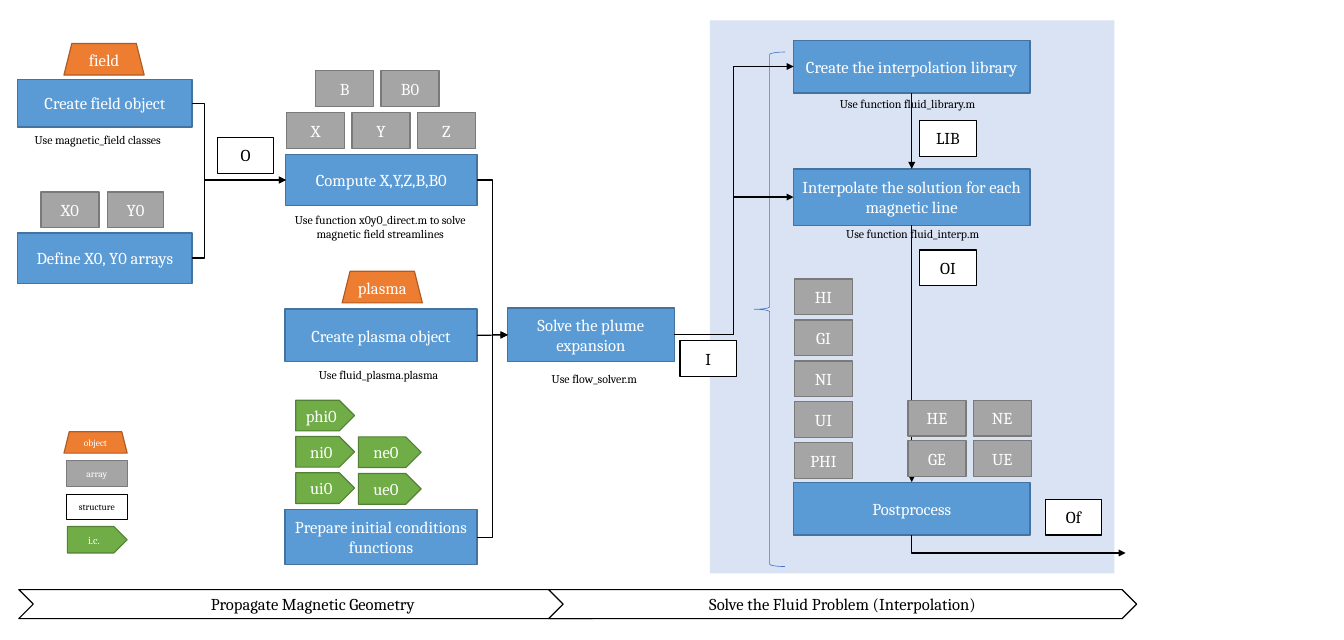
from dataclasses import dataclass
from typing import Any, Iterator, NamedTuple

from lxml import etree
from pptx import Presentation
from pptx.dml.color import RGBColor
from pptx.enum.shapes import MSO_CONNECTOR, MSO_SHAPE
from pptx.enum.text import MSO_ANCHOR, MSO_AUTO_SIZE, PP_ALIGN
from pptx.oxml.ns import qn
from pptx.util import Inches, Pt

RECT, TRAPEZOID = MSO_SHAPE.RECTANGLE, MSO_SHAPE.TRAPEZOID
PLATE, CHEVRON, BRACE = MSO_SHAPE.PENTAGON, MSO_SHAPE.CHEVRON, MSO_SHAPE.LEFT_BRACE
STRAIGHT, ELBOW = MSO_CONNECTOR.STRAIGHT, MSO_CONNECTOR.ELBOW
CENTER, MIDDLE = PP_ALIGN.CENTER, MSO_ANCHOR.MIDDLE
FIT_TEXT = MSO_AUTO_SIZE.SHAPE_TO_FIT_TEXT
TOP, LEFT, BOTTOM, RIGHT = range(4)

SLIDE_WIDTH, SLIDE_HEIGHT = Inches(15.75), Inches(7.5)
COLUMN, ROW = SLIDE_WIDTH / 63, SLIDE_HEIGHT / 30


@dataclass(frozen=True)
class Theme:
    font: str = "Cambria"
    body: float = 14
    note: float = 10
    legend: float = 8
    legend_plate: float = 9
    rule: float = 1
    thin: float = 0.75
    hairline: float = 0.5
    black: str = "000000"
    white: str = "FFFFFF"
    panel: str = "DAE3F3"
    brace: str = "4472C4"
    step: str = "5B9BD5"
    step_edge: str = "43739E"
    object: str = "ED7D31"
    object_edge: str = "AF5C24"
    array: str = "A5A5A5"
    array_edge: str = "7A7A7A"
    condition: str = "70AD47"
    condition_edge: str = "538035"


THEME = Theme()


class Kind(NamedTuple):
    preset: Any
    fill: str | None
    edge: str | None
    ink: str = THEME.white
    size: float = THEME.body
    weight: float = THEME.rule


PANEL = Kind(RECT, THEME.panel, None)
STEP = Kind(RECT, THEME.step, THEME.step_edge)
OBJECT = Kind(TRAPEZOID, THEME.object, THEME.object_edge)
ARRAY = Kind(RECT, THEME.array, THEME.array_edge)
STRUCTURE = Kind(RECT, THEME.white, THEME.black, THEME.black)
CONDITION = Kind(PLATE, THEME.condition, THEME.condition_edge)
PHASE = Kind(CHEVRON, THEME.white, THEME.black, THEME.black)
SPAN_BRACE = Kind(BRACE, None, THEME.brace, weight=THEME.hairline)


class Item(NamedTuple):
    """A labelled shape, placed in grid columns and rows."""
    kind: Kind
    text: str
    left: float
    top: float
    width: float
    height: float


class Cluster(NamedTuple):
    """Equal shapes in rows; labels are split by spaces."""
    kind: Kind
    rows: tuple[str, ...]
    left: float
    top: float
    width: float = 2.72
    height: float = 1.68
    across: float = 3.06
    down: float = 1.9


class Note(NamedTuple):
    text: str
    left: float
    top: float
    width: float
    height: float = 1.08


class Link(NamedTuple):
    start: str
    start_side: int
    end: str
    end_side: int
    route: Any = ELBOW
    bend: float = 0.5


STEPS = {
    "solve": Item(STEP, "Solve the plume expansion", 23.8, 14.44, 7.8, 2.52),
    "field": Item(STEP, "Create field object", 0.84, 3.72, 8.16, 2.24),
    "define": Item(STEP, "Define X0, Y0 arrays", 0.84, 10.92, 8.16, 2.36),
    "compute": Item(STEP, "Compute X,Y,Z,B,B0", 13.4, 7.24, 8.96, 2.4),
    "plasma": Item(STEP, "Create plasma object", 13.36, 14.48, 9, 2.48),
    "initial": Item(STEP, "Prepare initial conditions functions", 13.36, 23.88, 9, 2.6),
    "library": Item(STEP, "Create the interpolation library", 37.2, 1.88, 11.08, 2.48),
    "interpolate": Item(STEP, "Interpolate the solution for each magnetic line",
                        37.2, 7.92, 11.08, 2.64),
    "postprocess": Item(STEP, "Postprocess", 37.2, 22.6, 11.08, 2.48),
}
LINKS = [
    Link("field", RIGHT, "compute", LEFT, bend=0.13),
    Link("define", RIGHT, "compute", LEFT, bend=0.13),
    Link("compute", RIGHT, "solve", LEFT),
    Link("initial", RIGHT, "solve", LEFT),
    Link("plasma", RIGHT, "solve", LEFT, STRAIGHT),
    Link("solve", RIGHT, "library", LEFT),
    Link("solve", RIGHT, "interpolate", LEFT),
    Link("library", BOTTOM, "interpolate", TOP, STRAIGHT),
    Link("interpolate", BOTTOM, "postprocess", TOP, STRAIGHT),
]
OUTPUT_START, OUTPUT_END = (42.74, 25.08), (52.76, 25.92)
NOTES = [
    Note("Use magnetic_field classes", 0.92, 6, 7.32),
    Note("Use function x0y0_direct.m to solve magnetic field streamlines",
         13.2, 9.76, 9.24, 1.76),
    Note("Use fluid_plasma.plasma", 13.56, 17.04, 8.36),
    Note("Use flow_solver.m", 24.28, 17.24, 7.16),
    Note("Use function fluid_library.m", 37.92, 4.32, 9.24),
    Note("Use function fluid_interp.m", 38.16, 10.44, 9.24),
]
CLUSTERS = [
    Cluster(ARRAY, ("X0",), 1.92, 9),
    Cluster(ARRAY, ("Y0",), 5.04, 9, width=2.64),
    Cluster(ARRAY, ("B B0",), 14.8, 3.32),
    Cluster(ARRAY, ("X Y Z",), 13.44, 5.28),
    Cluster(ARRAY, ("HI", "GI", "NI", "UI", "PHI"), 37.24, 13.08, down=1.92),
    Cluster(ARRAY, ("HE NE", "GE UE"), 42.56, 18.76),
    Cluster(CONDITION, ("phi0", "ni0", "ui0"), 13.86, 18.76, 2.76, 1.44, down=1.7),
    Cluster(CONDITION, ("ne0", "ue0"), 16.8, 20.48, 2.94, 1.44, down=1.72),
]
LABELS = [
    Item(OBJECT, "field", 3, 2.04, 3.76, 1.48),
    Item(OBJECT, "plasma", 16.04, 12.72, 3.76, 1.48),
    Item(STRUCTURE, "O", 10.2, 6.44, 2.64, 1.68),
    Item(STRUCTURE, "I", 31.88, 15.96, 2.64, 1.68),
    Item(STRUCTURE, "LIB", 43.12, 5.64, 2.64, 1.68),
    Item(STRUCTURE, "OI", 43.12, 11.72, 2.64, 1.68),
    Item(STRUCTURE, "Of", 49, 23.4, 2.64, 1.68),
    Item(OBJECT._replace(size=THEME.legend), "object", 3, 20.24, 2.96, 1),
    Item(ARRAY._replace(size=THEME.legend), "array", 3.12, 21.6, 2.84, 1.2),
    Item(STRUCTURE._replace(size=THEME.legend, weight=THEME.thin), "structure",
         3.12, 23.16, 2.84, 1.2),
    Item(CONDITION._replace(size=THEME.legend_plate), "i.c.", 3.16, 24.68, 2.8, 1.24),
    Item(PHASE, "Propagate Magnetic Geometry", 0.88, 27.64, 27.56, 1.36),
    Item(PHASE, "Solve the Fluid Problem (Interpolation)", 25.72, 27.64, 27.56, 1.36),
]


def apply(target: Any, values: dict[str, Any]) -> None:
    for name, value in values.items():
        setattr(target, name, value)


def grid(*lengths: float) -> list[int]:
    """Turn alternating column and row counts into slide lengths."""
    return [round(n * (ROW if i % 2 else COLUMN)) for i, n in enumerate(lengths)]


def write(box: Any, text: str, size: float, ink: str, frame: dict[str, Any]) -> None:
    apply(box.text_frame, {"word_wrap": True, **frame})
    para = box.text_frame.paragraphs[0]
    para.alignment = CENTER
    span = para.add_run()
    span.text = text
    apply(span.font, {"name": THEME.font, "size": Pt(size)})
    span.font.color.rgb = RGBColor.from_string(ink)


def draw_item(page: Any, item: Item) -> Any:
    kind = item.kind
    box = page.shapes.add_shape(kind.preset, *grid(*item[2:]))
    box.shadow.inherit = False
    for paint, colour in ((box.fill, kind.fill), (box.line.fill, kind.edge)):
        if colour is None:
            paint.background()
        else:
            paint.solid()
            paint.fore_color.rgb = RGBColor.from_string(colour)
    if kind.edge:
        box.line.width = Pt(kind.weight)
    if item.text:
        write(box, item.text, kind.size, kind.ink, {"vertical_anchor": MIDDLE})
    return box


def cluster_items(cluster: Cluster) -> Iterator[Item]:
    for r, row in enumerate(cluster.rows):
        for c, label in enumerate(row.split()):
            yield Item(cluster.kind, label, cluster.left + c * cluster.across,
                       cluster.top + r * cluster.down, cluster.width, cluster.height)


def draw_note(page: Any, note: Note) -> None:
    box = page.shapes.add_textbox(*grid(*note[1:]))
    write(box, note.text, THEME.note, THEME.black, {"auto_size": FIT_TEXT})


def style_arrow(arrow: Any) -> None:
    arrow.line.color.rgb = RGBColor.from_string(THEME.black)
    arrow.line.width = Pt(THEME.rule)
    properties = arrow.element.spPr
    etree.SubElement(properties.find(qn("a:ln")), qn("a:tailEnd"), type="triangle")
    etree.SubElement(properties, qn("a:effectLst"))


def draw_link(page: Any, link: Link, boxes: dict[str, Any]) -> None:
    arrow = page.shapes.add_connector(link.route, 0, 0, 0, 0)
    arrow.begin_connect(boxes[link.start], link.start_side)
    arrow.end_connect(boxes[link.end], link.end_side)
    if link.route == ELBOW:
        adjustments = next(arrow.element.iter(qn("a:avLst")))
        etree.SubElement(adjustments, qn("a:gd"), name="adj1",
                         fmla=f"val {round(link.bend * 100000)}")
    style_arrow(arrow)


def draw_output_arrow(page: Any) -> None:
    """Draw a one-corner arrow down and right, as a quarter-turned elbow."""
    (x1, y1), (x2, y2) = grid(*OUTPUT_START), grid(*OUTPUT_END)
    middle_x, middle_y = (x1 + x2) // 2, (y1 + y2) // 2
    half_run, half_drop = (x2 - x1) // 2, (y2 - y1) // 2
    arrow = page.shapes.add_connector(ELBOW, middle_x + half_drop, middle_y - half_run,
                                      middle_x - half_drop, middle_y + half_run)
    next(arrow.element.iter(qn("a:prstGeom"))).set("prst", "bentConnector2")
    next(arrow.element.iter(qn("a:xfrm"))).set("rot", str(270 * 60000))
    style_arrow(arrow)


def main() -> None:
    deck = Presentation()
    apply(deck, {"slide_width": SLIDE_WIDTH, "slide_height": SLIDE_HEIGHT})
    page = deck.slides.add_slide(deck.slide_layouts[6])
    draw_item(page, Item(PANEL, "", 33.28, 0.96, 18.96, 25.92))
    boxes = {name: draw_item(page, step) for name, step in STEPS.items()}
    draw_item(page, Item(SPAN_BRACE, "", 35.36, 2.44, 1.44, 24.12))
    for link in LINKS:
        draw_link(page, link, boxes)
    draw_output_arrow(page)
    for note in NOTES:
        draw_note(page, note)
    for cluster in CLUSTERS:
        for item in cluster_items(cluster):
            draw_item(page, item)
    for label in LABELS:
        draw_item(page, label)
    deck.save("out.pptx")


if __name__ == "__main__":
    main()
